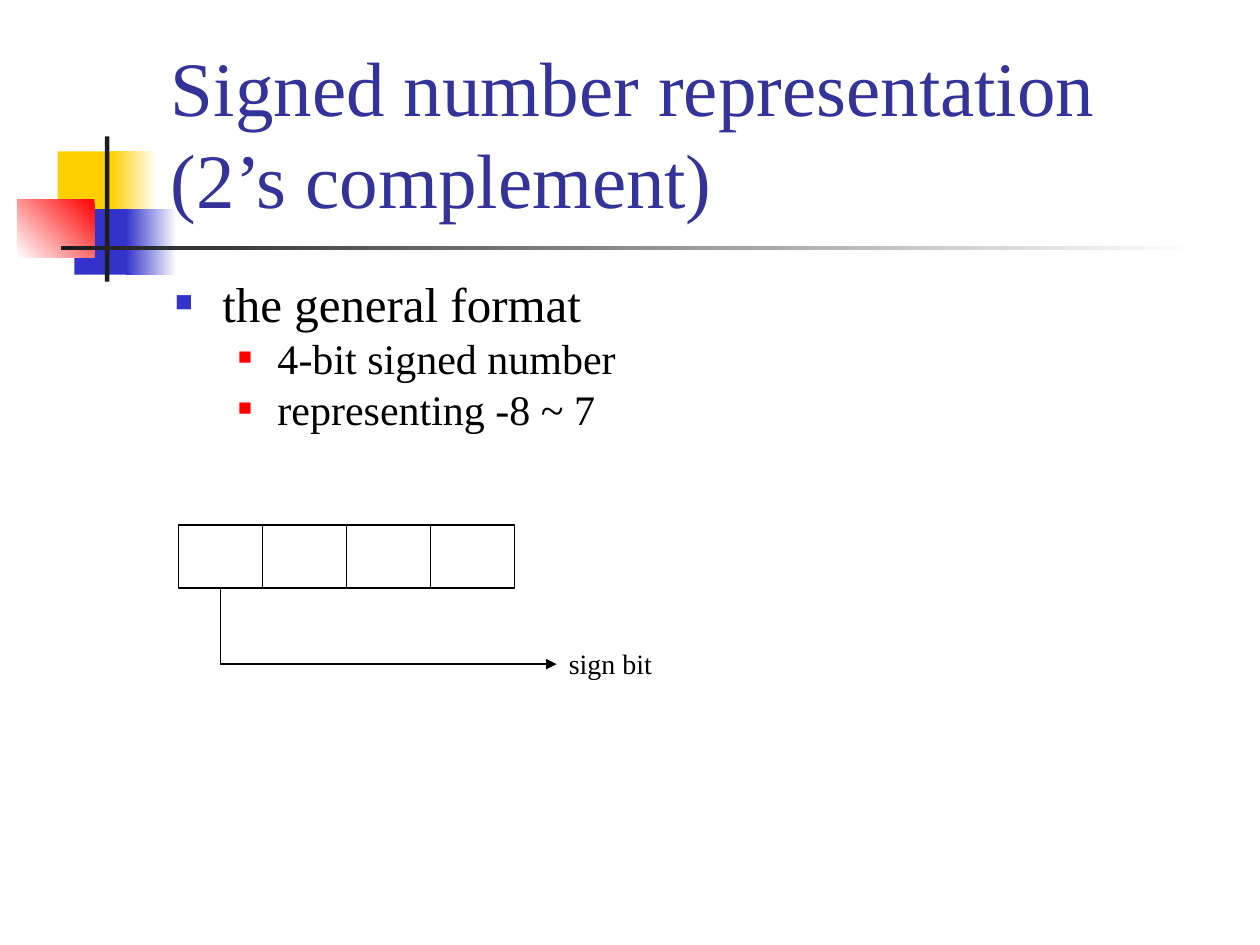
"""Build a slide on the format of 4-bit signed numbers."""
from lxml.etree import SubElement
from pptx import Presentation
from pptx.dml.color import RGBColor
from pptx.enum.shapes import MSO_CONNECTOR as LINK, MSO_SHAPE as SHAPE
from pptx.enum.text import MSO_ANCHOR as ANCHOR, MSO_AUTO_SIZE as AUTO, PP_ALIGN as ALIGN
from pptx.oxml.ns import qn
from pptx.util import Pt

FONT = "Times New Roman"
BLACK, WHITE, BLUE, RED, GOLD, DARK = "000000", "FFFFFF", "3333CC", "FF0000", "FFCF01", "1C1C1C"
TITLE = "Signed number representation (2’s complement)"
DECOR = [
    ((33, 86.5, 35, 37.5), [GOLD], 0),
    ((63.5, 86.5, 26, 37.5), [WHITE, GOLD], 180),
    ((42.5, 119.5, 33, 37.5), [BLUE], 0),
    ((72, 119.5, 29, 37.5), [WHITE, BLUE], 180),
    ((10, 114, 44, 33), [RED, WHITE], 135),
    ((60, 78, 2.5, 83), [DARK], 0),
    ((35, 140.5, 648, 2.5), [WHITE, DARK], 180),
]
POINTS = [("the general format", 0), ("4-bit signed number", 1), ("representing -8 ~ 7", 1)]
LEVELS = [
    dict(size=28, before=7, left=27, hang=27, mark=BLUE, scale=60),
    dict(size=24, before=6, left=58.5, hang=22.5, mark=RED, scale=55),
]
BITS, LEFT, TOP, WIDE, HIGH = 4, 102, 300, 48, 36
TIP_X, TIP_Y = 318, 379.5


def paint(text):
    return RGBColor.from_string(text)


def place(shape, *box):
    shape.left, shape.top, shape.width, shape.height = map(Pt, box)


def write(par, text, size, color=BLACK, before=0, space=None):
    par.alignment = ALIGN.LEFT
    par.space_before = Pt(before)
    if space:
        par.line_spacing = space
    run = par.add_run()
    run.text = text
    run.font.name, run.font.size = FONT, Pt(size)
    run.font.color.rgb = paint(color)


def bullet(par, left, hang, mark, scale):
    props = par._p.get_or_add_pPr()
    props.set("marL", str(Pt(left)))
    props.set("indent", str(-Pt(hang)))
    SubElement(SubElement(props, qn("a:buClr")), qn("a:srgbClr"), val=mark)
    SubElement(props, qn("a:buSzPct"), val=str(scale * 1000))
    SubElement(props, qn("a:buFont"), typeface=FONT)
    SubElement(props, qn("a:buChar"), char="■")


def block(shapes, box, colors=(), angle=0, edge=None):
    shape = shapes.add_shape(SHAPE.RECTANGLE, *map(Pt, box))
    shape.shadow.inherit = False
    fill = shape.fill
    if len(colors) == 2:
        fill.gradient()
        fill.gradient_angle = 360 - angle
        for stop, color, spot in zip(fill.gradient_stops, colors, (0, 1)):
            stop.color.rgb, stop.position = paint(color), spot
    elif colors:
        fill.solid()
        fill.fore_color.rgb = paint(colors[0])
    else:
        fill.background()
    if edge:
        shape.line.color.rgb, shape.line.width = paint(edge), Pt(0.75)
    else:
        shape.line.fill.background()


def arrow(shapes, x1, y1, x2, y2):
    """Draw an elbow arrow that runs down, then right."""
    wide, high = y2 - y1, x2 - x1
    left, top = (x1 + x2 - wide) / 2, (y1 + y2 - high) / 2
    link = shapes.add_connector(LINK.ELBOW, Pt(left + wide), Pt(top), Pt(left), Pt(top + high))
    link.line.color.rgb, link.line.width = paint(BLACK), Pt(0.75)
    props = link._element.spPr
    props.find(qn("a:xfrm")).set("rot", str(270 * 60000))
    props.find(qn("a:prstGeom")).set("prst", "bentConnector2")
    SubElement(props.find(qn("a:ln")), qn("a:tailEnd"), type="triangle")
    SubElement(props, qn("a:effectLst"))


def main():
    deck = Presentation()
    deck.slide_width, deck.slide_height = Pt(720), Pt(540)
    slide = deck.slides.add_slide(deck.slide_layouts[5])
    shapes = slide.shapes
    for box, colors, angle in DECOR:
        block(shapes, box, colors, angle)

    title = shapes.title
    place(title, 90.5, 16.5, 613.5, 115)
    frame = title.text_frame
    frame.auto_size, frame.vertical_anchor = AUTO.NONE, ANCHOR.BOTTOM
    frame.word_wrap = True
    write(frame.paragraphs[0], TITLE, 44, "333399")

    frame = shapes.add_textbox(*map(Pt, (93, 159, 612, 99.5))).text_frame
    frame.word_wrap = True
    for i, (text, level) in enumerate(POINTS):
        par = frame.add_paragraph() if i else frame.paragraphs[0]
        par.level = level
        look = dict(LEVELS[level])
        write(par, text, look.pop("size"), before=look.pop("before"), space=0.8)
        bullet(par, **look)

    group = shapes.add_group_shape()
    for i in range(BITS):
        block(group.shapes, (LEFT + i * WIDE, TOP, WIDE, HIGH), edge=BLACK)

    frame = shapes.add_textbox(*map(Pt, (TIP_X, 366, 62, 26.5))).text_frame
    frame.word_wrap, frame.auto_size = False, AUTO.SHAPE_TO_FIT_TEXT
    write(frame.paragraphs[0], "sign bit", 16)
    arrow(shapes, LEFT + WIDE / 2, TOP + HIGH, TIP_X, TIP_Y)
    deck.save("out.pptx")


if __name__ == "__main__":
    main()
